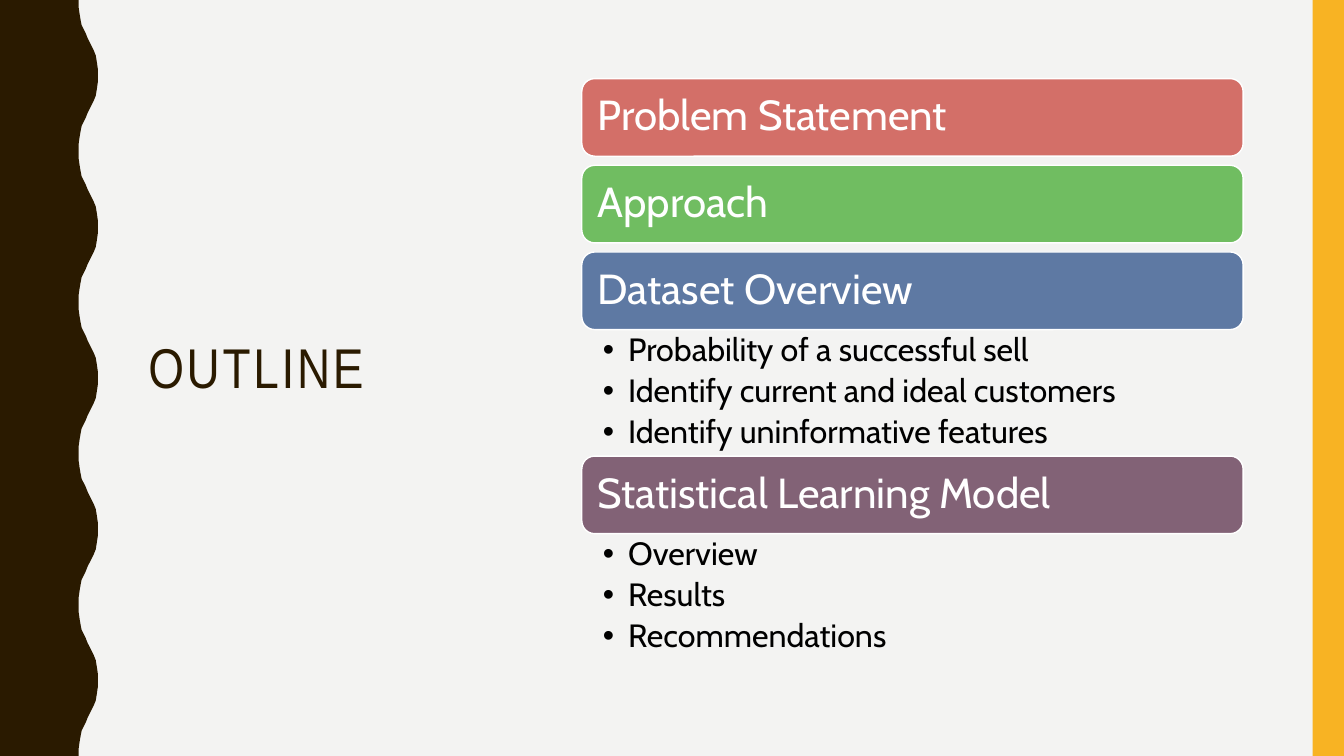
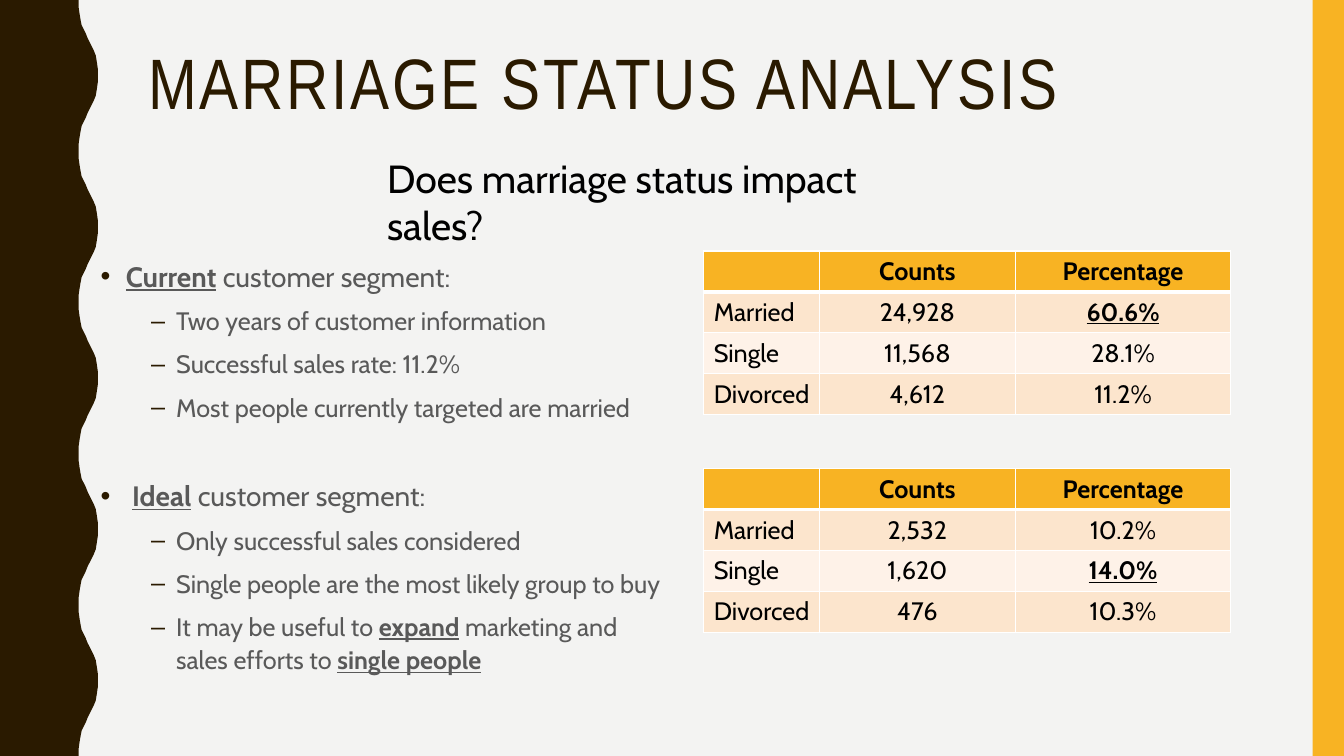
from collections import namedtuple
from lxml import etree
from pptx import Presentation
from pptx import util as u
from pptx.dml.color import RGBColor
from pptx.enum import shapes, text
from pptx.oxml import ns

PAPER = RGBColor(0xF3, 0xF3, 0xF2)
BROWN = RGBColor(0x2A, 0x1A, 0x00)
AMBER = RGBColor(0xF8, 0xB3, 0x23)
PEACH = RGBColor(0xFC, 0xE5, 0xCD)
CREAM = RGBColor(0xFE, 0xF2, 0xE8)
RED = RGBColor(0xD3, 0x6F, 0x68)
GREEN = RGBColor(0x70, 0xBD, 0x61)
BLUE = RGBColor(0x5E, 0x79, 0xA3)
PLUM = RGBColor(0x82, 0x62, 0x76)
GREY = RGBColor(0x59, 0x59, 0x59)
BLACK = RGBColor(0, 0, 0)
WHITE = RGBColor(0xFF, 0xFF, 0xFF)
TITLE_FONT, BODY_FONT = "Arial Narrow", "Cabin"

Box = namedtuple("Box", "left top width height")

HALF_WAVE = [(78, 0), (78, 7), (79, 14), (80, 20), (81, 25), (83, 29), (85, 33),
             (87, 38), (89, 42), (91, 46), (93, 50), (95, 55), (96, 61), (97, 68), (97, 75)]
WAVE_LENGTH, WAVES = 150, 5
BAR, GAP, DETAIL = 77, 9, 125.5
COLUMN_WEIGHTS = [115, 194, 214]

OUTLINE = [
    ("Problem Statement", RED, []),
    ("Approach", GREEN, []),
    ("Dataset Overview", BLUE, ["Probability of a successful sell",
                                "Identify current and ideal customers",
                                "Identify uninformative features"]),
    ("Statistical Learning Model", PLUM, ["Overview", "Results", "Recommendations"]),
]
SEGMENTS = [
    ("*Current* customer segment:", ["Two years of customer information",
                                     "Successful sales rate: 11.2%",
                                     "Most people currently targeted are married"]),
    (" *Ideal* customer segment:", ["Only successful sales considered",
                                    "Single people are the most likely group to buy",
                                    "It may be useful to *expand* marketing and "
                                    "sales efforts to *single people*"]),
]
HEADINGS = ["", "Counts", "Percentage"]
CURRENT_COUNTS = [HEADINGS, ["Married", "24,928", "*60.6%*"],
                  ["Single", "11,568", "28.1%"], ["Divorced", "4,612", "11.2%"]]
IDEAL_COUNTS = [HEADINGS, ["Married", "2,532", "10.2%"],
                ["Single", "1,620", "*14.0%*"], ["Divorced", "476", "10.3%"]]

deck = Presentation()
deck.slide_width, deck.slide_height = u.Inches(13.33), u.Inches(7.5)


def share(left, top, width, height):
    across, down = deck.slide_width / 100, deck.slide_height / 100
    return Box(int(left * across), int(top * down), int(width * across), int(height * down))


def write(paragraph, content, size=18, color=BLACK, font=BODY_FONT, bold=False, align=None,
          line=None, before=0, after=0, tracking=None):
    paragraph.alignment = align
    paragraph.line_spacing = line
    paragraph.space_before, paragraph.space_after = u.Pt(before), u.Pt(after)
    for index, part in enumerate(content.split("*")):
        if not part:
            continue
        stressed = index % 2 == 1
        run = paragraph.add_run()
        run.text = part
        run.font.size, run.font.name = u.Pt(size), font
        run.font.color.rgb = color
        run.font.bold, run.font.underline = bold or stressed, stressed
        if tracking:
            run.font._element.set("spc", str(tracking * 100))


def bullet(paragraph, mark, color, indent):
    properties = paragraph._p.get_or_add_pPr()
    properties.set("marL", str(u.Inches(indent)))
    properties.set("indent", str(-u.Inches(0.25)))
    tint = etree.SubElement(properties, ns.qn("a:buClr"))
    etree.SubElement(tint, ns.qn("a:srgbClr"), val=str(color))
    etree.SubElement(properties, ns.qn("a:buFont"), typeface="Arial")
    etree.SubElement(properties, ns.qn("a:buChar"), char=mark)


def next_paragraph(frame):
    first = frame.paragraphs[0]
    return frame.add_paragraph() if first.runs else first


def text_area(slide, box, insets=(0.1, 0.05, 0.1, 0.05)):
    frame = slide.shapes.add_textbox(*box).text_frame
    set_frame(frame, insets, text.MSO_ANCHOR.TOP)
    return frame


def set_frame(frame, insets, anchor):
    frame.word_wrap = True
    frame.auto_size = text.MSO_AUTO_SIZE.NONE
    frame.vertical_anchor = anchor
    (frame.margin_left, frame.margin_top,
     frame.margin_right, frame.margin_bottom) = map(u.Inches, insets)


def paint(shape, color, outline=None):
    shape.shadow.inherit = False
    shape.fill.solid()
    shape.fill.fore_color.rgb = color
    if outline:
        shape.line.color.rgb = outline
        shape.line.width = u.Pt(1)
    else:
        shape.line.fill.background()


def wavy_edge(slide):
    points = []
    for wave in range(WAVES):
        start = wave * WAVE_LENGTH
        points += [(x, start + y) for x, y in HALF_WAVE]
        points += [(x, start + WAVE_LENGTH - y) for x, y in HALF_WAVE[-2::-1]]
    depth = WAVES * WAVE_LENGTH
    builder = slide.shapes.build_freeform(0, 0, scale=deck.slide_height / depth)
    builder.add_line_segments(points + [(0, depth)], close=True)
    paint(builder.convert_to_shape(), BROWN)


def titled_slide(title, box, size, anchor):
    slide = deck.slides.add_slide(deck.slide_layouts[5])
    slide.background.fill.solid()
    slide.background.fill.fore_color.rgb = PAPER
    wavy_edge(slide)
    side_band = slide.shapes.add_shape(shapes.MSO_SHAPE.RECTANGLE, *share(97.67, 0, 2.33, 100))
    paint(side_band, AMBER)
    heading = slide.shapes.title
    heading.left, heading.top, heading.width, heading.height = box
    set_frame(heading.text_frame, (0.1, 0.05, 0.1, 0.05), anchor)
    write(heading.text_frame.paragraphs[0], title, size=size, color=BROWN, font=TITLE_FONT,
          align=text.PP_ALIGN.LEFT, line=0.9, tracking=2)
    return slide


def outline_list(slide, box, topics):
    blocks = [DETAIL if details else GAP for _, _, details in topics]
    unit = box.height / (len(topics) * BAR + sum(blocks))
    top = box.top
    for (topic, color, details), block in zip(topics, blocks):
        bar = slide.shapes.add_shape(shapes.MSO_SHAPE.ROUNDED_RECTANGLE,
                                     box.left, int(top), box.width, int(BAR * unit))
        paint(bar, color, WHITE)
        set_frame(bar.text_frame, (0.12,) * 4, text.MSO_ANCHOR.MIDDLE)
        write(bar.text_frame.paragraphs[0], topic, size=30, color=WHITE,
              align=text.PP_ALIGN.LEFT, line=0.9)
        top += BAR * unit
        if details:
            area = Box(box.left, int(top), box.width, int(block * unit))
            frame = text_area(slide, area, (0.21, 0.04, 0.23, 0.04))
            for detail in details:
                paragraph = next_paragraph(frame)
                write(paragraph, detail, size=23, line=0.9, after=4.6)
                bullet(paragraph, "•", BLACK, 0.25)
        top += block * unit


def segment_list(slide, box, segments):
    frame = text_area(slide, box)
    for index, (segment, findings) in enumerate(segments):
        paragraph = next_paragraph(frame)
        write(paragraph, segment, size=20, color=GREY, line=1.1, before=38 if index else 7)
        bullet(paragraph, "•", BROWN, 0.25)
        for finding in findings:
            paragraph = next_paragraph(frame)
            write(paragraph, finding, color=GREY, line=1.1, before=7)
            bullet(paragraph, "–", BROWN, 0.75)


def cell_borders(cell, **widths):
    properties = cell._tc.get_or_add_tcPr()
    for side in "LRTB":
        edge = etree.SubElement(properties, ns.qn("a:ln" + side),
                                w=str(u.Pt(widths.get(side, 1))))
        fill = etree.SubElement(edge, ns.qn("a:solidFill"))
        etree.SubElement(fill, ns.qn("a:srgbClr"), val=str(WHITE))


def status_table(slide, box, rows):
    table = slide.shapes.add_table(len(rows), len(HEADINGS), *box).table
    for column, weight in zip(table.columns, COLUMN_WEIGHTS):
        column.width = int(box.width * weight / sum(COLUMN_WEIGHTS))
    for r, row in enumerate(rows):
        table.rows[r].height = box.height // len(rows)
        for c, value in enumerate(row):
            cell = table.cell(r, c)
            cell_borders(cell, T=3 if r == 1 else 1, B=3 if r == 0 else 1)
            cell.fill.solid()
            cell.fill.fore_color.rgb = AMBER if r == 0 else PEACH if r % 2 else CREAM
            write(cell.text_frame.paragraphs[0], value, bold=r == 0,
                  align=text.PP_ALIGN.CENTER if c else text.PP_ALIGN.LEFT)


def outline_slide():
    slide = titled_slide("OUTLINE", share(10.28, 9.47, 27.76, 79.07), 40, text.MSO_ANCHOR.MIDDLE)
    outline_list(slide, share(43.29, 10.4, 49.21, 76.93), OUTLINE)


def marriage_slide():
    slide = titled_slide("MARRIAGE STATUS ANALYSIS", share(10.28, 5.6, 83.5, 21.73), 51,
                         text.MSO_ANCHOR.TOP)
    question = text_area(slide, share(28.06, 19.73, 43.89, 7.6))
    write(question.paragraphs[0], "Does marriage status impact sales?", size=28)
    segment_list(slide, share(6.75, 33.2, 43.89, 58.4), SEGMENTS)
    for top, rows in ((33.2, CURRENT_COUNTS), (62, IDEAL_COUNTS)):
        status_table(slide, share(52.36, top, 39.23, 21.6), rows)


outline_slide()
marriage_slide()
deck.save("out.pptx")
